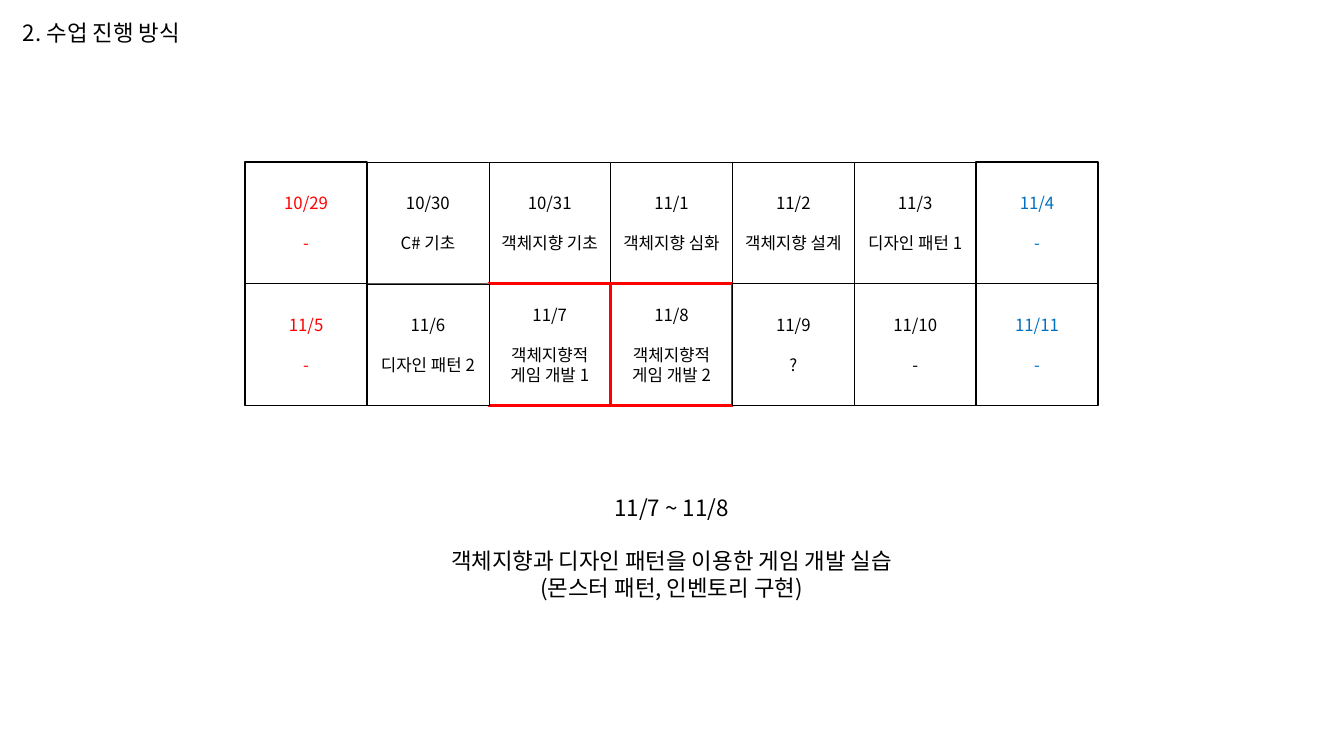
from pptx import Presentation, util as u
from pptx.dml.color import RGBColor
from pptx.enum import shapes, text
from pptx.oxml.ns import qn
from lxml import etree

FONT = "Noto Sans CJK KR"
COLORS = {"black": "000000", "white": "FFFFFF", "red": "FF0000", "blue": "0070C0"}
SIDE, LEFT, TOP = 3.07, 6.18, 4.08
THIN, MEDIUM, THICK = 0.25, 1, 2.25
SUNDAY, SATURDAY = 0, 6

# (week, weekday, date, topic lines, border width), from back to front
DAYS = [
    (0, 5, "11/3", ["디자인 패턴 1"], THIN),
    (0, 0, "10/29", ["-"], MEDIUM),
    (0, 6, "11/4", ["-"], MEDIUM),
    (0, 1, "10/30", ["C# 기초"], THIN),
    (0, 3, "11/1", ["객체지향 심화"], THIN),
    (0, 4, "11/2", ["객체지향 설계"], THIN),
    (0, 2, "10/31", ["객체지향 기초"], THIN),
    (1, 3, "11/8", ["객체지향적", "게임 개발 2"], THICK),
    (1, 4, "11/9", ["?"], MEDIUM),
    (1, 2, "11/7", ["객체지향적", "게임 개발 1"], THICK),
    (1, 1, "11/6", ["디자인 패턴 2"], THIN),
    (1, 5, "11/10", ["-"], MEDIUM),
    (1, 0, "11/5", ["-"], MEDIUM),
    (1, 6, "11/11", ["-"], MEDIUM),
]


def rgb(name):
    return RGBColor.from_string(COLORS[name])


def write(tf, lines, size=12, color="black", align=text.PP_ALIGN.CENTER, gap=0):
    """Fill a text frame, one paragraph a line, with a gap after the first."""
    tf.word_wrap = True
    for i, line in enumerate(lines):
        p = tf.add_paragraph() if i else tf.paragraphs[0]
        p.alignment = align
        if i == 0 and gap:
            p.space_after = u.Pt(gap)
        r = p.add_run()
        r.text = line
        r.font.size = u.Pt(size)
        r.font.name = FONT
        r.font.color.rgb = rgb(color)
        etree.SubElement(r.font._element, qn("a:ea"), typeface=FONT)


def add_text(slide, left, top, width, height, lines, **fmt):
    sp = slide.shapes.add_textbox(u.Cm(left), u.Cm(top), u.Cm(width), u.Cm(height))
    write(sp.text_frame, lines, **fmt)
    sp.text_frame.auto_size = text.MSO_AUTO_SIZE.SHAPE_TO_FIT_TEXT


def add_day(group, week, weekday, date, topic, border):
    sp = group.shapes.add_shape(
        shapes.MSO_SHAPE.RECTANGLE,
        u.Cm(LEFT + weekday * SIDE), u.Cm(TOP + week * SIDE), u.Cm(SIDE), u.Cm(SIDE))
    sp.shadow.inherit = False
    sp.fill.solid()
    sp.fill.fore_color.rgb = rgb("white")
    sp.line.color.rgb = rgb("red" if border == THICK else "black")
    sp.line.width = u.Pt(border)
    color = {SUNDAY: "red", SATURDAY: "blue"}.get(weekday, "black")
    sp.text_frame.vertical_anchor = text.MSO_ANCHOR.MIDDLE
    write(sp.text_frame, [date, *topic], color=color, gap=14.5)


def main():
    prs = Presentation()
    prs.slide_width, prs.slide_height = u.Cm(33.87), u.Cm(19.05)
    slide = prs.slides.add_slide(prs.slide_layouts[6])
    add_text(slide, 0.33, 0.36, 4.65, 0.94, ["2. 수업 진행 방식"],
             size=16, align=text.PP_ALIGN.LEFT)
    calendar = slide.shapes.add_group_shape()
    for day in DAYS:
        add_day(calendar, *day)
    add_text(slide, 11.07, 12.32, 11.71, 3,
             ["11/7 ~ 11/8", "객체지향과 디자인 패턴을 이용한 게임 개발 실습",
              "(몬스터 패턴, 인벤토리 구현)"], size=16, gap=19)
    prs.save("out.pptx")


if __name__ == "__main__":
    main()
